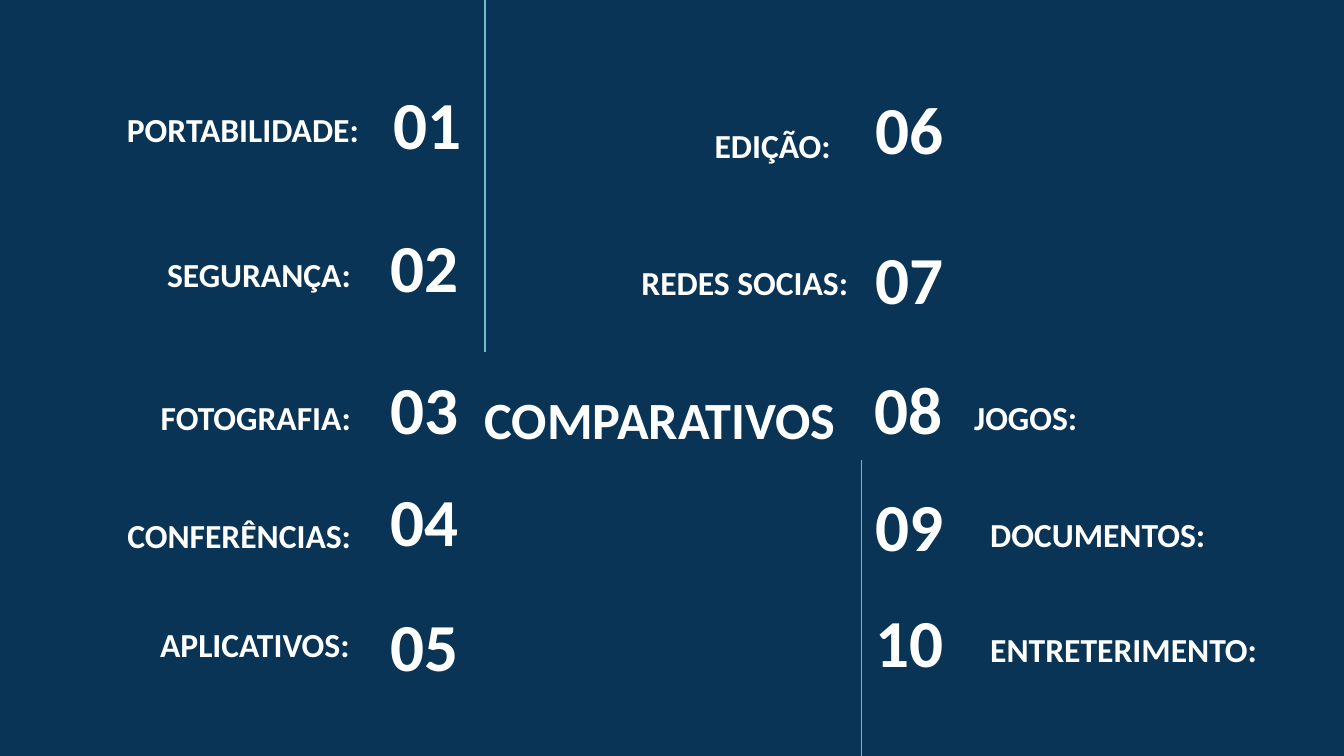
from pptx import Presentation
from pptx.dml.color import RGBColor
from pptx.enum.shapes import MSO_CONNECTOR as Connector
from pptx.enum.text import MSO_ANCHOR as Anchor, PP_ALIGN as Align
from pptx.oxml.ns import qn
from pptx.util import Pt
from lxml.etree import SubElement

COLORS = {"background": "0A3455", "text": "FFFFFF", "divider": "6EBDC4"}
FONT = "Calibri"
INSET = 7.2

HEADING = ("COMPARATIVOS", 244.8, 187.2, 217.4)
DIVIDERS = [(259.9, 0, 188.6), (461.5, 246.2, 406.1)]

# style: size, height, anchor, align, vertical inset, wrap
STYLES = {
    "heading": (28, 74.2, Anchor.MIDDLE, Align.CENTER, INSET, True),
    "number left": (36, 45.4, Anchor.MIDDLE, Align.RIGHT, INSET, True),
    "number right": (36, 45.4, Anchor.MIDDLE, Align.LEFT, INSET, True),
    "number tight": (36, 51.1, Anchor.TOP, Align.RIGHT, INSET / 2, False),
    "label left": (18, 45.4, Anchor.BOTTOM, Align.RIGHT, INSET, True),
    "label right": (18, 45.4, Anchor.BOTTOM, Align.LEFT, INSET, True),
    "label tight": (18, 28.8, Anchor.TOP, Align.RIGHT, INSET / 2, False),
    "label inner": (18, 28.8, Anchor.TOP, Align.RIGHT, INSET / 2, True),
}

TOPICS = [
    ("PORTABILIDADE:", "label left", 28.8, 41.8, 170.6, "number left", 167, 43.2, 87.1),
    ("SEGURANÇA:", "label left", 39.6, 119.5, 155.5, "number left", 165.6, 119.5, 87.1),
    ("FOTOGRAFIA:", "label left", 39.6, 195.8, 155.5, "number left", 165.6, 195.8, 87.1),
    ("CONFERÊNCIAS:", "label tight", 59.8, 272.2, 135.4, "number tight", 201.6, 253.4, 51.1),
    ("APLICATIVOS:", "label tight", 75.6, 330.5, 118.8, "number tight", 198.7, 320.4, 54),
    ("EDIÇÃO:", "label inner", 343.4, 63.4, 108.7, "number tight", 461.5, 43.2, 51.1),
    ("REDES SOCIAS:", "label inner", 331.2, 136.8, 130.3, "number tight", 461.5, 123.8, 51.1),
    ("JOGOS:", "label right", 514.8, 195.8, 155.5, "number right", 461.5, 195.8, 84.2),
    ("DOCUMENTOS:", "label right", 523.4, 258.5, 155.5, "number right", 462.2, 258.5, 84.2),
    ("ENTRETERIMENTO:", "label right", 523.4, 320.4, 167, "number right", 462.2, 320.4, 84.2),
]


def add_text(slide, text, style, left, top, width):
    size, height, anchor, align, inset, wrap = STYLES[style]
    box = slide.shapes.add_textbox(Pt(left), Pt(top), Pt(width), Pt(height))
    frame = box.text_frame
    frame.text = text
    frame.word_wrap = wrap
    frame.vertical_anchor = anchor
    frame.margin_left = frame.margin_right = Pt(INSET)
    frame.margin_top = frame.margin_bottom = Pt(inset)
    paragraph = frame.paragraphs[0]
    paragraph.alignment = align
    font = paragraph.runs[0].font
    font.name, font.size, font.bold = FONT, Pt(size), True
    font.color.rgb = RGBColor.from_string(COLORS["text"])


def add_divider(slide, x, top, bottom):
    divider = slide.shapes.add_connector(Connector.STRAIGHT, Pt(x), Pt(top), Pt(x), Pt(bottom))
    divider.line.width = Pt(0.75)
    divider.line.color.rgb = RGBColor.from_string(COLORS["divider"])
    SubElement(divider.element.spPr, qn("a:effectLst"))


def main():
    deck = Presentation()
    deck.slide_width, deck.slide_height = Pt(720), Pt(405)
    slide = deck.slides.add_slide(deck.slide_layouts[6])
    fill = slide.background.fill
    fill.solid()
    fill.fore_color.rgb = RGBColor.from_string(COLORS["background"])

    text, *place = HEADING
    add_text(slide, text, "heading", *place)
    for divider in DIVIDERS:
        add_divider(slide, *divider)
    for number, (label, *parts) in enumerate(TOPICS, start=1):
        add_text(slide, label, *parts[:4])
        add_text(slide, f"{number:02d}", *parts[4:])

    deck.save("out.pptx")


if __name__ == "__main__":
    main()
